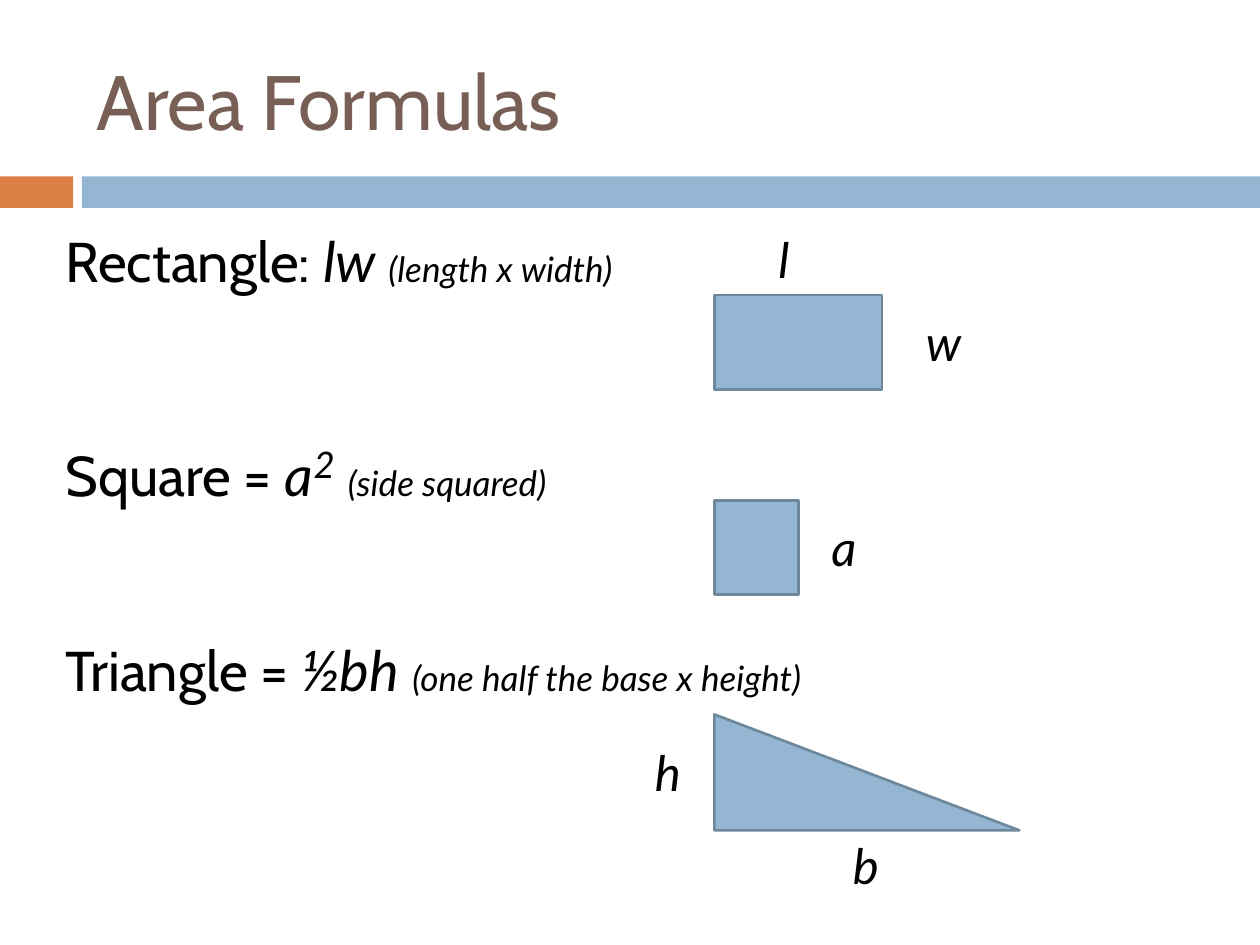
from dataclasses import dataclass

from pptx import Presentation
from pptx.dml.color import RGBColor
from pptx.enum.shapes import MSO_SHAPE
from pptx.enum.text import MSO_ANCHOR
from pptx.util import Inches, Pt


@dataclass(frozen=True)
class Theme:
    accent: RGBColor = RGBColor(0xDD, 0x80, 0x47)
    blue: RGBColor = RGBColor(0x94, 0xB6, 0xD2)
    outline: RGBColor = RGBColor(0x6D, 0x87, 0x9B)
    heading: RGBColor = RGBColor(0x77, 0x5F, 0x55)
    ink: RGBColor = RGBColor(0, 0, 0)
    name_font: str = "Cabin"
    math_font: str = "Lato"
    title_size: int = 44
    formula_size: int = 32
    power_size: int = 36
    label_size: int = 28
    note_size: int = 20


THEME = Theme()
FIGURE_LEFT = 5.67


def style_run(run, font_name, size, color=THEME.ink, italic=False):
    run.font.name = font_name
    run.font.size = Pt(size)
    run.font.color.rgb = color
    run.font.italic = italic


def add_text_frame(slide, left, top, width, height):
    frame = slide.shapes.add_textbox(
        Inches(left), Inches(top), Inches(width), Inches(height)
    ).text_frame
    frame.word_wrap = True
    return frame


def add_figure(slide, preset, left, top, width, height, fill, outlined=True):
    figure = slide.shapes.add_shape(
        preset, Inches(left), Inches(top), Inches(width), Inches(height)
    )
    figure.shadow.inherit = False
    figure.fill.solid()
    figure.fill.fore_color.rgb = fill
    if outlined:
        figure.line.color.rgb = THEME.outline
        figure.line.width = Pt(1.5)
    else:
        figure.line.fill.background()


def add_title(slide, title):
    frame = add_text_frame(slide, 0.67, 0.25, 8.92, 1.08)
    frame.vertical_anchor = MSO_ANCHOR.MIDDLE
    frame.text = title
    style_run(frame.paragraphs[0].runs[0], THEME.name_font, THEME.title_size, THEME.heading)


def add_label(slide, letter, left, top):
    frame = add_text_frame(slide, left, top, 0.5, 0.57)
    frame.text = letter
    style_run(frame.paragraphs[0].runs[0], THEME.math_font, THEME.label_size, italic=True)


def add_math_run(paragraph, text, size):
    run = paragraph.add_run()
    run.text = text
    style_run(run, THEME.math_font, size, italic=True)
    return run


def write_formula(paragraph, name, expression, power, note, gap):
    paragraph.text = name
    paragraph.space_before = Pt(gap)
    style_run(paragraph.runs[0], THEME.name_font, THEME.formula_size)
    add_math_run(paragraph, expression, THEME.formula_size)
    if power:
        exponent = add_math_run(paragraph, power, THEME.power_size)
        exponent.font._element.set("baseline", "30000")
        add_math_run(paragraph, " ", THEME.formula_size)
    add_math_run(paragraph, note, THEME.note_size)


def add_formulas(slide, formulas):
    frame = add_text_frame(slide, 0.42, 1.75, 8.75, 5.25)
    for index, formula in enumerate(formulas):
        paragraph = frame.add_paragraph() if index else frame.paragraphs[0]
        write_formula(paragraph, *formula)


def main():
    presentation = Presentation()
    presentation.slide_width = Inches(10)
    presentation.slide_height = Inches(7.5)
    slide = presentation.slides.add_slide(presentation.slide_layouts[6])

    for left, width, color in ((0, 0.58, THEME.accent), (0.65, 9.35, THEME.blue)):
        add_figure(slide, MSO_SHAPE.RECTANGLE, left, 1.4, width, 0.25, color, outlined=False)
    add_title(slide, "Area Formulas")

    add_formulas(slide, (
        ("Rectangle: ", "lw ", "", "(length x width)", 0),
        ("Square = ", "a", "2", "(side squared)", 80),
        ("Triangle = ", "½bh ", "", "(one half the base x height)", 72),
    ))

    for preset, top, width, height in (
        (MSO_SHAPE.RECTANGLE, 2.34, 1.33, 0.75),
        (MSO_SHAPE.RECTANGLE, 3.97, 0.67, 0.75),
        (MSO_SHAPE.RIGHT_TRIANGLE, 5.67, 2.42, 0.92),
    ):
        add_figure(slide, preset, FIGURE_LEFT, top, width, height, THEME.blue)

    for letter, left, top in (
        ("l", 6.08, 1.77),
        ("w", 7.25, 2.43),
        ("a", 6.5, 4.06),
        ("b", 6.67, 6.58),
        ("h", 5.1, 5.84),
    ):
        add_label(slide, letter, left, top)

    presentation.save("out.pptx")


if __name__ == "__main__":
    main()
